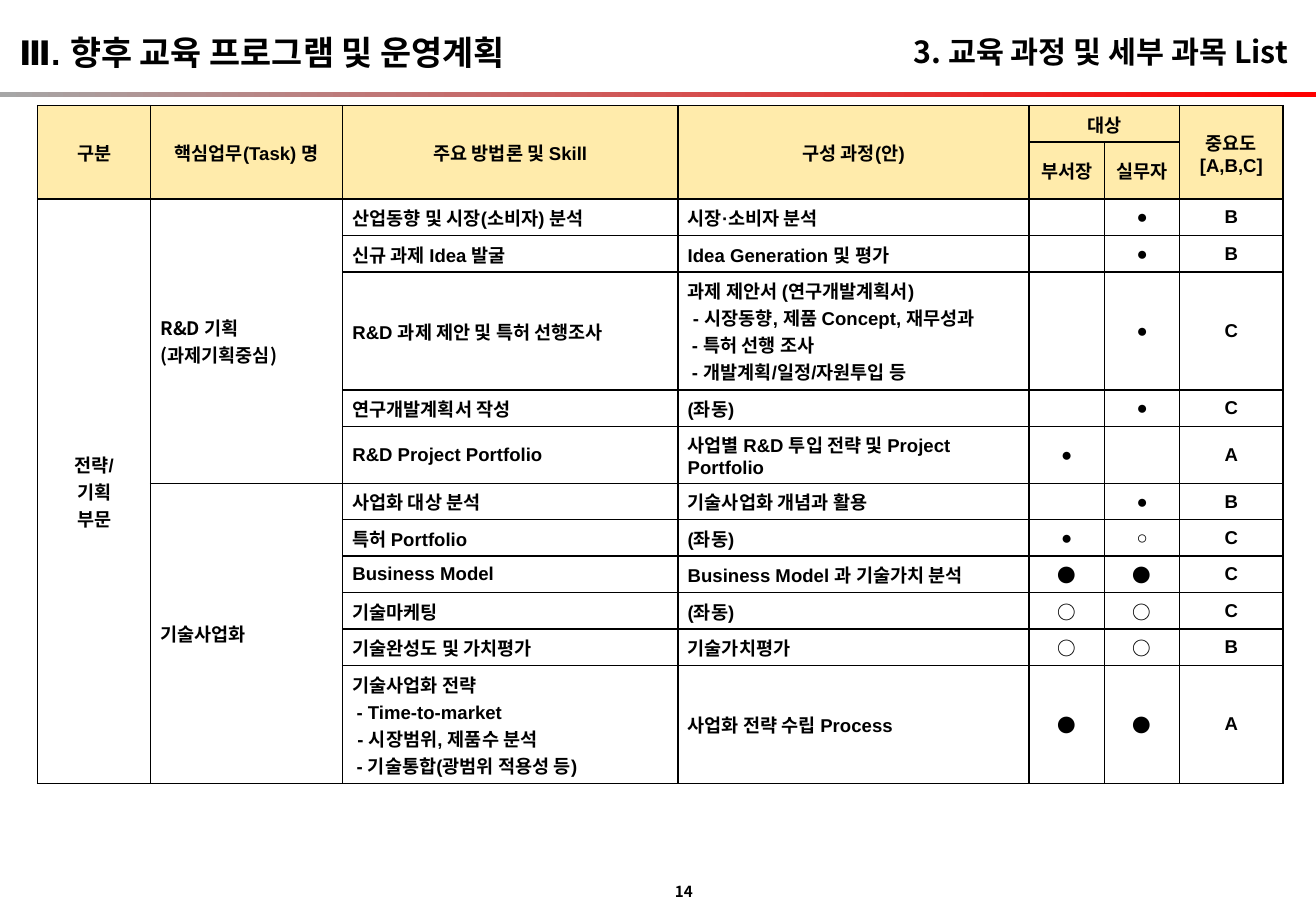
import dataclasses

import pptx
import pptx.dml.color
import pptx.enum.shapes
import pptx.enum.text
import pptx.oxml
import pptx.oxml.ns
import pptx.util

ALIGN = pptx.enum.text.PP_ALIGN
MIDDLE = pptx.enum.text.MSO_ANCHOR.MIDDLE
TOP = pptx.enum.text.MSO_ANCHOR.TOP

SLIDE_WIDTH, SLIDE_HEIGHT = 10.83, 7.5
TABLE_LEFT, TABLE_TOP = 0.31, 0.87
COLUMN_WIDTHS = (0.93, 1.58, 2.76, 2.89, 0.62, 0.62, 0.85)
LINE_ROW, PAIR_ROW, LIST_ROW = 0.3, 0.47, 0.97
HEADER_ROWS = 2
TASK_COLUMN, METHOD_COLUMN, COURSE_COLUMN = 1, 2, 3
MARK_COLUMNS = (4, 5)
LARGE_MARK_ROW = 9


@dataclasses.dataclass(frozen=True)
class Theme:
    """Colours, fonts and type sizes of the slide."""
    ink: str = "000000"
    paper: str = "FFFFFF"
    header: str = "FFEBAB"
    rule_start: str = "A6A6A6"
    rule_end: str = "FF0000"
    latin: str = "Arial"
    korean: str = "Noto Sans CJK KR"
    chapter_size: int = 20
    title_size: int = 18
    table_size: int = 11
    number_size: int = 9
    border: int = 1


THEME = Theme()

ROWS = (
    (LINE_ROW, ("구분", "핵심업무(Task) 명", "주요 방법론 및 Skill", "구성 과정(안)",
                "대상", "", "중요도\n[A,B,C]")),
    (PAIR_ROW, ("", "", "", "", "부서장", "실무자", "")),
    (LINE_ROW, ("전략/\n기획\n부문", "R&D 기획\n(과제기획중심)",
                "산업동향 및 시장(소비자) 분석", "시장·소비자 분석", "", "●", "B")),
    (LINE_ROW, ("", "", "신규 과제 Idea 발굴", "Idea Generation 및 평가", "", "●", "B")),
    (LIST_ROW, ("", "", "R&D 과제 제안 및 특허 선행조사",
                "과제 제안서 (연구개발계획서)\v - 시장동향, 제품 Concept, 재무성과"
                "\v - 특허 선행 조사\v - 개발계획/일정/자원투입 등", "", "●", "C")),
    (LINE_ROW, ("", "", "연구개발계획서 작성", "(좌동)", "", "●", "C")),
    (PAIR_ROW, ("", "", "R&D Project Portfolio",
                "사업별 R&D 투입 전략 및 Project Portfolio", "●", "", "A")),
    (LINE_ROW, ("", "기술사업화", "사업화 대상 분석", "기술사업화 개념과 활용", "", "●", "B")),
    (LINE_ROW, ("", "", "특허 Portfolio", "(좌동)", "●", "○", "C")),
    (LINE_ROW, ("", "", "Business Model", "Business Model 과 기술가치 분석", "●", "●", "C")),
    (LINE_ROW, ("", "", "기술마케팅", "(좌동)", "○", "○", "C")),
    (LINE_ROW, ("", "", "기술완성도 및 가치평가", "기술가치평가", "○", "○", "B")),
    (LIST_ROW, ("", "", "기술사업화 전략\v - Time-to-market\v - 시장범위, 제품수 분석"
                "\v - 기술통합(광범위 적용성 등)", "사업화 전략 수립 Process", "●", "●", "A")),
)

MERGES = (
    ((0, 0), (1, 0)), ((0, 1), (1, 1)), ((0, 2), (1, 2)), ((0, 3), (1, 3)),
    ((0, 4), (0, 5)), ((0, 6), (1, 6)),
    ((2, 0), (12, 0)), ((2, 1), (6, 1)), ((7, 1), (12, 1)),
)


def color(value):
    """Return an RGB colour for a hex value."""
    return pptx.dml.color.RGBColor.from_string(value)


def add_run(paragraph, text, size, latin, east_asian):
    """Add one bold run with its Latin and East Asian fonts."""
    run = paragraph.add_run()
    run.text = text
    run.font.size = pptx.util.Pt(size)
    run.font.bold = True
    run.font.name = latin
    run.font.color.rgb = color(THEME.ink)
    typeface = pptx.oxml.parse_xml(
        f'<a:ea {pptx.oxml.ns.nsdecls("a")} typeface="{east_asian}"/>')
    run.font._element.find(pptx.oxml.ns.qn("a:latin")).addnext(typeface)


def write_text(frame, text, size, latin, align, east_asian=THEME.korean):
    """Fill a frame: newlines part paragraphs, vertical tabs part lines."""
    for index, block in enumerate(text.split("\n")):
        paragraph = frame.add_paragraph() if index else frame.paragraphs[0]
        paragraph.alignment = align
        for number, line in enumerate(block.split("\v")):
            if number:
                paragraph.add_line_break()
            if line:
                add_run(paragraph, line, size, latin, east_asian)
        paragraph._p.get_or_add_endParaRPr().set("sz", str(size * 100))


def place_label(shape, box, text, size, latin, align, anchor):
    """Place a one-line label that grows with its text."""
    shape.left, shape.top, shape.width, shape.height = map(pptx.util.Inches, box)
    frame = shape.text_frame
    frame.word_wrap = False
    frame.auto_size = pptx.enum.text.MSO_AUTO_SIZE.SHAPE_TO_FIT_TEXT
    frame.vertical_anchor = anchor
    write_text(frame, text, size, latin, align)


def add_label(slide, box, *style):
    """Add a text box as a one-line label and return it."""
    label = slide.shapes.add_textbox(0, 0, 0, 0)
    place_label(label, box, *style)
    return label


def add_page_number(slide):
    """Add the page number, with no left margin so that it fits on one line."""
    label = add_label(slide, (5.42, 7.21, 0.38, 0.25), "14",
                      THEME.number_size, THEME.korean, ALIGN.RIGHT, MIDDLE)
    label.text_frame.margin_left = 0


def add_rule(slide):
    """Add the full-width gradient rule under the headings."""
    rule = slide.shapes.add_shape(
        pptx.enum.shapes.MSO_SHAPE.RECTANGLE,
        *map(pptx.util.Inches, (0, 0.76, SLIDE_WIDTH, 0.04)))
    rule.shadow.inherit = False
    rule.line.fill.background()
    rule.fill.gradient()
    rule.fill.gradient_angle = 0
    ends = (THEME.rule_start, THEME.rule_end)
    for position, (stop, value) in enumerate(zip(rule.fill.gradient_stops, ends)):
        stop.position = position
        stop.color.rgb = color(value)


def add_borders(cell):
    """Draw a solid line on the four sides of a cell."""
    properties = cell._tc.get_or_add_tcPr()
    for side in ("lnL", "lnR", "lnT", "lnB"):
        properties.append(pptx.oxml.parse_xml(
            f'<a:{side} {pptx.oxml.ns.nsdecls("a")} w="{pptx.util.Pt(THEME.border)}">'
            f'<a:solidFill><a:srgbClr val="{THEME.ink}"/></a:solidFill></a:{side}>'))


def cell_fonts(row, column, text):
    """Return the Latin and East Asian fonts of a cell."""
    body = row >= HEADER_ROWS
    large_mark = column in MARK_COLUMNS and row >= LARGE_MARK_ROW
    if text == "대상" or body and column == TASK_COLUMN or large_mark:
        return THEME.korean, THEME.korean
    if body and column in MARK_COLUMNS:
        return THEME.latin, THEME.latin
    return THEME.latin, THEME.korean


def format_cell(cell, row, column, text):
    """Give a cell its borders, fill, margins and text."""
    body = row >= HEADER_ROWS
    add_borders(cell)
    cell.fill.solid()
    cell.fill.fore_color.rgb = color(THEME.paper if body else THEME.header)
    cell.vertical_anchor = MIDDLE
    cell.margin_left = cell.margin_right = pptx.util.Inches(0.08)
    cell.margin_top = cell.margin_bottom = pptx.util.Inches(0.04)
    left = body and column in (TASK_COLUMN, METHOD_COLUMN, COURSE_COLUMN)
    latin, east_asian = cell_fonts(row, column, text)
    write_text(cell.text_frame, text, THEME.table_size, latin,
               ALIGN.LEFT if left else ALIGN.CENTER, east_asian)


def add_course_table(slide):
    """Add the table of courses by task."""
    height = sum(row_height for row_height, _ in ROWS)
    box = (TABLE_LEFT, TABLE_TOP, sum(COLUMN_WIDTHS), height)
    table = slide.shapes.add_table(
        len(ROWS), len(COLUMN_WIDTHS), *map(pptx.util.Inches, box)).table
    table.first_row = table.horz_banding = False
    for column, width in zip(table.columns, COLUMN_WIDTHS):
        column.width = pptx.util.Inches(width)
    for row, (row_height, texts) in enumerate(ROWS):
        table.rows[row].height = pptx.util.Inches(row_height)
        for column, text in enumerate(texts):
            format_cell(table.cell(row, column), row, column, text)
    for first, last in MERGES:
        table.cell(*first).merge(table.cell(*last))


def main():
    """Build the slide and save it."""
    presentation = pptx.Presentation()
    presentation.slide_width = pptx.util.Inches(SLIDE_WIDTH)
    presentation.slide_height = pptx.util.Inches(SLIDE_HEIGHT)
    slide = presentation.slides.add_slide(presentation.slide_layouts[5])
    add_rule(slide)
    place_label(slide.shapes.title, (7.06, 0.22, 3.64, 0.4), "3. 교육 과정 및 세부 과목 List",
                THEME.title_size, THEME.korean, ALIGN.RIGHT, MIDDLE)
    add_page_number(slide)
    add_course_table(slide)
    add_label(slide, (0.06, 0.21, 4.69, 0.44), "Ⅲ. 향후 교육 프로그램 및 운영계획",
              THEME.chapter_size, THEME.latin, ALIGN.LEFT, TOP)
    presentation.save("out.pptx")


if __name__ == "__main__":
    main()
